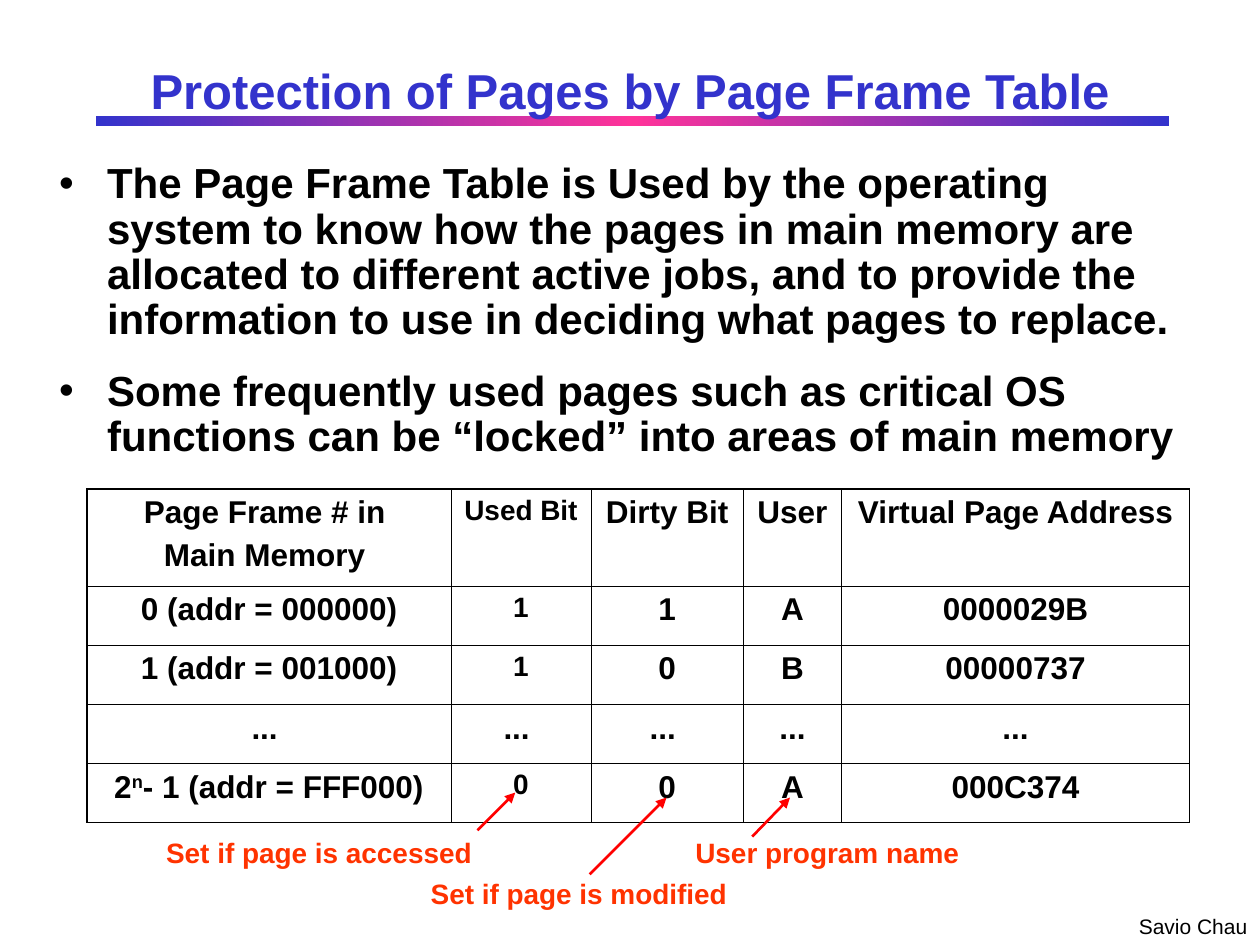
"""Build a slide on page protection with a page frame table."""
from copy import deepcopy
from dataclasses import dataclass

from lxml import etree
from pptx import Presentation
from pptx.dml.color import RGBColor
from pptx.enum.shapes import MSO_CONNECTOR, MSO_SHAPE
from pptx.enum.text import MSO_ANCHOR, MSO_AUTO_SIZE, PP_ALIGN
from pptx.oxml.ns import qn
from pptx.util import Inches, Pt

BLUE = RGBColor(0x33, 0x33, 0xCC)
PINK = RGBColor(0xFF, 0x33, 0x99)
BLACK = RGBColor(0x00, 0x00, 0x00)
ORANGE = RGBColor(0xFF, 0x33, 0x00)
RED = RGBColor(0xFF, 0x00, 0x00)
LEFT, CENTER = PP_ALIGN.LEFT, PP_ALIGN.CENTER
TOP, MIDDLE = MSO_ANCHOR.TOP, MSO_ANCHOR.MIDDLE
NO_FIT = MSO_AUTO_SIZE.NONE
STRAIGHT, RECTANGLE = MSO_CONNECTOR.STRAIGHT, MSO_SHAPE.RECTANGLE
FONT = "Arial"
INNER_BORDER, OUTER_BORDER = 0.45, 1.08

TITLE = "Protection of Pages by Page Frame Table"
POINTS = (
    "The Page Frame Table is Used by the operating system to know how the pages "
    "in main memory are allocated to different active jobs, and to provide the "
    "information to use in deciding what pages to replace.\n"
    "Some frequently used pages such as critical OS functions can be “locked” "
    "into areas of main memory"
)
COLUMN_WIDTHS = (2.89, 1.11, 1.21, 0.78, 2.76)
ROW_HEIGHTS = (0.77, 0.47, 0.47, 0.47, 0.47)
FRAME_ROWS = (
    ("Page Frame # in \nMain Memory ", "Used Bit", "Dirty Bit", "User", "Virtual Page Address"),
    ("0 (addr = 000000)", "1", "1", "A", "0000029B"),
    ("1 (addr = 001000)", "1", "0", "B", "00000737"),
    ("... ", "... ", "... ", "...", "..."),
    ("2^n^- 1 (addr = FFF000)", "0", "0", "A", "000C374"),
)


@dataclass(frozen=True)
class Callout:
    text: str
    box: tuple[float, float, float, float]
    start: tuple[float, float]
    tip: tuple[float, float]


CALLOUTS = (
    Callout("Set if page is accessed", (1.22, 6.58, 2.62, 0.37), (3.79, 6.59), (4.09, 6.29)),
    Callout("Set if page is modified", (3.32, 6.91, 2.55, 0.37), (4.68, 6.94), (5.29, 6.33)),
    Callout("User program name", (5.42, 6.58, 2.29, 0.37), (5.97, 6.64), (6.27, 6.33)),
)


def write_text(frame, text: str, *, size: float, color: RGBColor = BLACK, bold: bool = True,
               align=LEFT, space_before: float = 0, line_spacing: float = 1.0) -> None:
    """Write newline-separated paragraphs, with superscripts between carets."""
    for index, line in enumerate(text.split("\n")):
        paragraph = frame.add_paragraph() if index else frame.paragraphs[0]
        paragraph.alignment = align
        paragraph.space_before = Pt(space_before)
        paragraph.line_spacing = line_spacing
        for position, part in enumerate(line.split("^")):
            run = paragraph.add_run()
            run.text = part
            run.font.name = FONT
            run.font.size = Pt(size)
            run.font.bold = bold
            run.font.color.rgb = color
            if position % 2:
                run.font._element.set("baseline", "30000")


def place(shape, box: tuple[float, float, float, float]) -> None:
    """Move and size a shape in inches."""
    shape.left, shape.top, shape.width, shape.height = map(Inches, box)


def add_label(slide, text: str, box: tuple[float, float, float, float], **text_format) -> None:
    """Add a one-line label with its right inset freed for the text."""
    frame = slide.shapes.add_textbox(*map(Inches, box)).text_frame
    frame.word_wrap = True
    frame.auto_size = NO_FIT
    frame.margin_right = Inches(0)
    write_text(frame, text, **text_format)


def add_title_rule(slide) -> None:
    """Add the gradient bar under the title."""
    rule = slide.shapes.add_shape(RECTANGLE, *map(Inches, (0.76, 0.92, 8.52, 0.08)))
    rule.shadow.inherit = False
    rule.line.fill.background()
    rule.fill.gradient()
    rule.fill.gradient_angle = 180
    first = rule.fill.gradient_stops[0]._gs
    first.addnext(deepcopy(first))
    for stop, position, color in zip(rule.fill.gradient_stops, (0, 0.5, 1), (BLUE, PINK, BLUE)):
        stop.position = position
        stop.color.rgb = color


def set_borders(cell, widths: dict[str, float]) -> None:
    """Draw black cell borders ahead of the fill."""
    properties = cell._tc.get_or_add_tcPr()
    for index, (side, width) in enumerate(widths.items()):
        border = etree.Element(qn(f"a:ln{side}"), w=str(Pt(width)))
        fill = etree.SubElement(border, qn("a:solidFill"))
        etree.SubElement(fill, qn("a:srgbClr"), val=str(BLACK))
        properties.insert(index, border)


def add_frame_table(slide) -> None:
    """Add the page frame table."""
    row_count, column_count = len(ROW_HEIGHTS), len(COLUMN_WIDTHS)
    box = (0.69, 3.88, sum(COLUMN_WIDTHS), sum(ROW_HEIGHTS))
    table = slide.shapes.add_table(row_count, column_count, *map(Inches, box)).table
    table.first_row = table.horz_banding = False
    for column, width in zip(table.columns, COLUMN_WIDTHS):
        column.width = Inches(width)
    for r, (row, height) in enumerate(zip(table.rows, ROW_HEIGHTS)):
        row.height = Inches(height)
        for c, (cell, text) in enumerate(zip(row.cells, FRAME_ROWS[r])):
            size = 16 if c == 1 and not text.startswith("...") else 18
            write_text(cell.text_frame, text, size=size, align=CENTER, space_before=size / 4)
            cell.fill.background()
            on_edge = {"L": c == 0, "R": c == column_count - 1,
                       "T": r == 0, "B": r == row_count - 1}
            set_borders(cell, {side: OUTER_BORDER if edge else INNER_BORDER
                               for side, edge in on_edge.items()})


def add_callout(slide, callout: Callout) -> None:
    """Add a label and its arrow."""
    arrow = slide.shapes.add_connector(
        STRAIGHT, *map(Inches, callout.start + callout.tip))
    arrow.line.color.rgb = RED
    arrow.line.width = Pt(1.5)
    etree.SubElement(arrow.line._get_or_add_ln(), qn("a:tailEnd"), type="triangle")
    etree.SubElement(arrow._element.spPr, qn("a:effectLst"))
    add_label(slide, callout.text, callout.box, size=16, color=ORANGE)


def fill_placeholders(slide) -> None:
    """Fill the title and the bulleted list."""
    title, points = slide.shapes.title, slide.placeholders[1]
    place(title, (0.75, 0.42, 8.5, 0.58))
    place(points, (0.37, 1.24, 9.28, 2.52))
    for placeholder, anchor in ((title, MIDDLE), (points, TOP)):
        placeholder.text_frame.auto_size = NO_FIT
        placeholder.text_frame.vertical_anchor = anchor
    write_text(title.text_frame, TITLE, size=28, color=BLUE, align=CENTER)
    write_text(points.text_frame, POINTS, size=24, line_spacing=0.9)
    for paragraph, gap in zip(points.text_frame.paragraphs, (6, 15)):
        paragraph.space_before = Pt(gap)
        properties = paragraph._p.get_or_add_pPr()
        properties.set("marL", str(Inches(0.38)))
        properties.set("indent", str(-Inches(0.38)))


def main() -> None:
    """Build and save the slide."""
    presentation = Presentation()
    presentation.slide_width, presentation.slide_height = Inches(10), Inches(7.5)
    slide = presentation.slides.add_slide(presentation.slide_layouts[1])
    add_title_rule(slide)
    slide.shapes._spTree.insert(2, slide.shapes[-1]._element)
    add_label(slide, "Savio Chau", (8.94, 7.2, 1.06, 0.3), size=12, bold=False)
    fill_placeholders(slide)
    add_frame_table(slide)
    for callout in CALLOUTS:
        add_callout(slide, callout)
    presentation.save("out.pptx")


if __name__ == "__main__":
    main()
